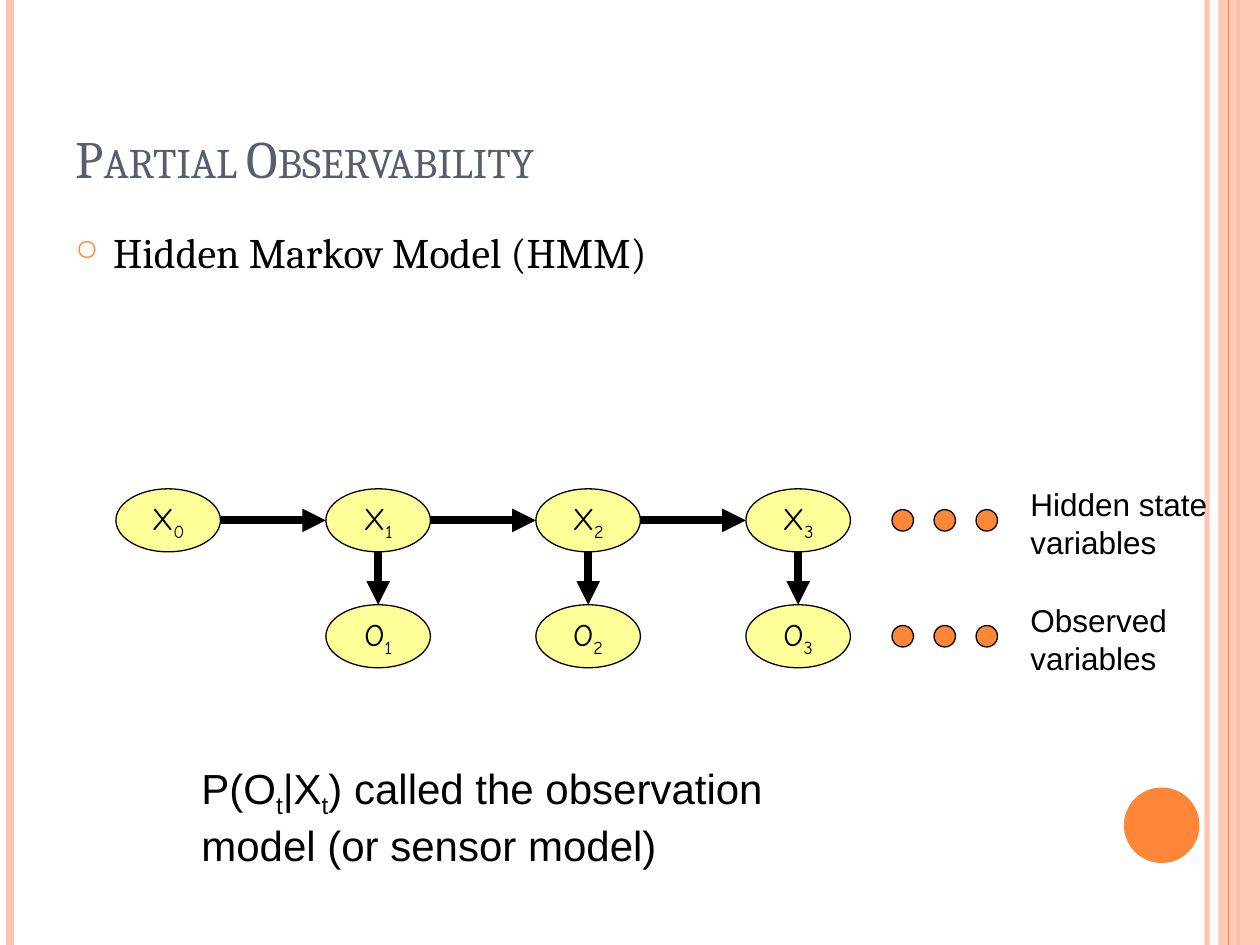
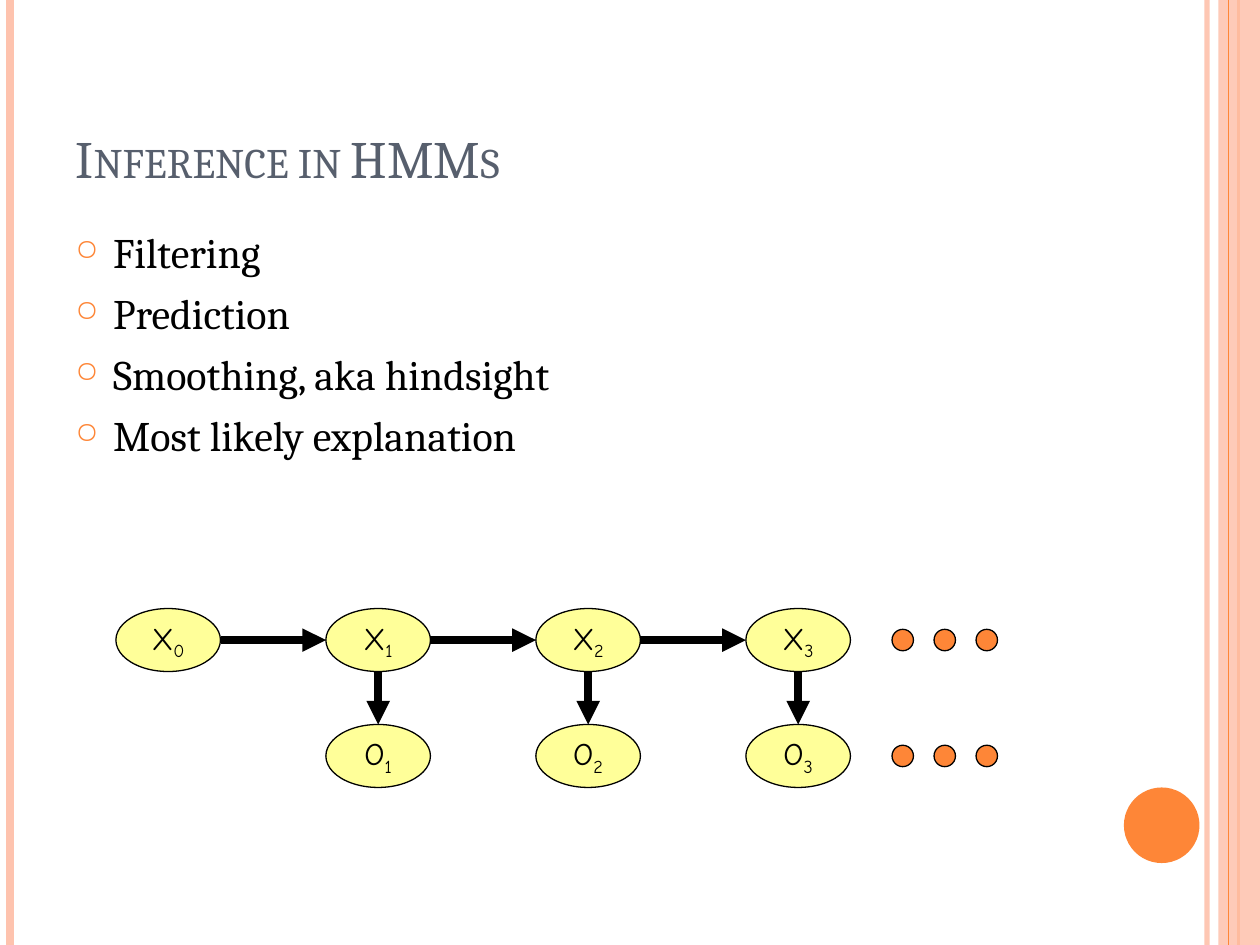
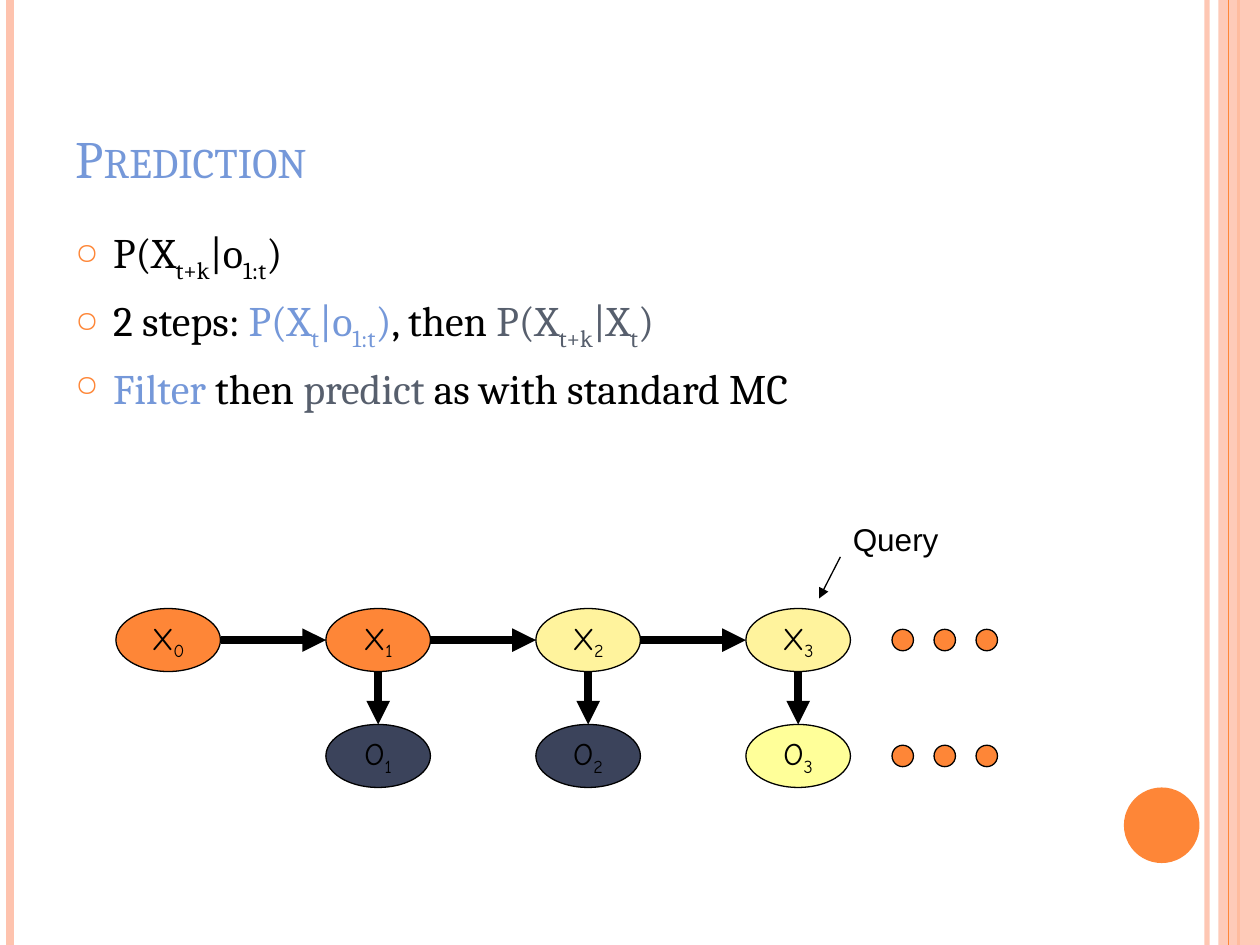
"""Build three slides on hidden Markov models: structure, inference and prediction."""
from lxml.etree import SubElement
from pptx import Presentation
from pptx.dml.color import RGBColor
from pptx.enum.shapes import MSO_CONNECTOR as Connector, MSO_SHAPE as Shape
from pptx.enum.text import MSO_ANCHOR as Anchor, MSO_AUTO_SIZE as AutoSize, PP_ALIGN as Align
from pptx.oxml.ns import qn
from pptx.util import Inches, Pt

BLACK = RGBColor(0x00, 0x00, 0x00)
ORANGE = RGBColor(0xFE, 0x86, 0x37)
PEACH = RGBColor(0xFE, 0xC3, 0xAE)
SLATE = RGBColor(0x57, 0x5F, 0x6D)
BLUE = RGBColor(0x75, 0x98, 0xD9)
YELLOW = RGBColor(0xFF, 0xFF, 0x99)
CREAM = RGBColor(0xFF, 0xF3, 0x9D)
NAVY = RGBColor(0x3B, 0x43, 0x5B)

SERIF, SANS, COMIC = "Cambria", "Arial", "Comic Neue"

NODE_LEFT, NODE_WIDTH, NODE_HEIGHT = 0.92, 0.83, 0.5
COLUMN_STEP, ROW_STEP = 5 / 3, 0.92
DOT_LEFT, DOT_SIZE, DOT_STEP = 7.08, 0.17, 1 / 3


def write_text(para, text, *, font=SANS, size=18, color=BLACK, small_caps=False):
    """Add text to a paragraph, lowering the parts written between angle brackets."""
    for index, part in enumerate(text.replace(">", "<").split("<")):
        if not part:
            continue
        span = para.add_run()
        span.text = part
        span.font.name = font
        span.font.size = Pt(size)
        span.font.color.rgb = color
        properties = span.font._element
        if index % 2:
            properties.set("baseline", "-25000")
        if small_caps:
            properties.set("cap", "small")


def set_opacity(element, percent):
    """Give the first colour inside an element an opacity."""
    color = next(element.iter(qn("a:srgbClr")))
    SubElement(color, qn("a:alpha")).set("val", str(percent * 1000))


class SlideBuilder:
    """Hold the deck, its shared style and the slide being drawn."""

    def __init__(self):
        """Open an empty deck of 10 by 7.5 inches."""
        self.deck = Presentation()
        self.deck.slide_width, self.deck.slide_height = Inches(10), Inches(7.5)
        self.page = None

    def start_page(self, title, color=SLATE):
        """Add a slide with the shared bands and a title."""
        self.page = self.deck.slides.add_slide(self.deck.slide_layouts[5])
        self.frame()
        box = self.page.shapes.title
        box.left, box.top = Inches(0.5), Inches(0.3)
        box.width, box.height = Inches(8.17), Inches(1.25)
        box.text_frame.auto_size = AutoSize.NONE
        box.text_frame.vertical_anchor = Anchor.BOTTOM
        para = box.text_frame.paragraphs[0]
        para.alignment = Align.LEFT
        write_text(para, title, font=SERIF, size=30, color=color, small_caps=True)

    def frame(self):
        """Draw the side bands and the round badge."""
        edge = self.line((9.58, 0), (9.58, 7.5), color=PEACH, width=3)
        set_opacity(edge.element, 93)
        self.line((0.08, 0), (0.08, 7.5), color=PEACH, width=4.5)
        self.line((9.83, 0), (9.83, 7.5), color=ORANGE, width=1.5)
        band = self.shape(Shape.RECTANGLE, 9.67, 0, 0.33, 7.5, PEACH)
        set_opacity(band.element, 87)
        self.line((9.75, 0), (9.75, 7.5), color=ORANGE)
        self.shape(Shape.OVAL, 8.92, 6.25, 0.6, 0.6, ORANGE)

    def line(self, start, end, *, color=BLACK, width=0.75, arrow=False):
        """Draw a straight line, with an arrowhead at its end on request."""
        points = [Inches(value) for value in (*start, *end)]
        line = self.page.shapes.add_connector(Connector.STRAIGHT, *points)
        line.line.color.rgb = color
        line.line.width = Pt(width)
        properties = line.element.spPr
        if arrow:
            SubElement(properties.find(qn("a:ln")), qn("a:tailEnd")).set("type", "triangle")
        SubElement(properties, qn("a:effectLst"))
        return line

    def shape(self, kind, left, top, width, height, fill, outline=None):
        """Draw a flat preset shape."""
        shape = self.page.shapes.add_shape(
            kind, Inches(left), Inches(top), Inches(width), Inches(height))
        shape.shadow.inherit = False
        shape.fill.solid()
        shape.fill.fore_color.rgb = fill
        if outline is None:
            shape.line.fill.background()
        else:
            shape.line.color.rgb = outline
            shape.line.width = Pt(0.75)
        return shape

    def node(self, left, top, label, fill):
        """Draw one labelled variable."""
        node = self.shape(Shape.OVAL, left, top, NODE_WIDTH, NODE_HEIGHT, fill, BLACK)
        node.text_frame.word_wrap = False
        node.text_frame.vertical_anchor = Anchor.MIDDLE
        para = node.text_frame.paragraphs[0]
        para.alignment = Align.CENTER
        write_text(para, label, font=COMIC)

    def text_box(self, left, top, width, height):
        """Add a wrapping text box and return its text frame."""
        box = self.page.shapes.add_textbox(
            Inches(left), Inches(top), Inches(width), Inches(height))
        box.text_frame.word_wrap = True
        return box.text_frame

    def note(self, left, top, width, height, text, size=18):
        """Add a plain text note."""
        frame = self.text_box(left, top, width, height)
        write_text(frame.paragraphs[0], text, size=size)

    def bullets(self, items):
        """Add the bulleted body; each item is a list of text and colour pairs."""
        frame = self.text_box(0.5, 1.75, 8.17, 5.33)
        for index, item in enumerate(items):
            para = frame.add_paragraph() if index else frame.paragraphs[0]
            para.space_before = Pt(6)
            properties = para._p.get_or_add_pPr()
            properties.set("marL", str(Inches(0.3)))
            properties.set("indent", str(Inches(-0.3)))
            color = SubElement(properties, qn("a:buClr"))
            SubElement(color, qn("a:srgbClr")).set("val", str(ORANGE))
            SubElement(properties, qn("a:buSzPct")).set("val", "70000")
            SubElement(properties, qn("a:buChar")).set("char", "○")
            for text, text_color in item:
                write_text(para, text, font=SERIF, size=24, color=text_color)

    def markov_model(self, top, hidden=(YELLOW,) * 4, observed=(YELLOW,) * 3):
        """Draw hidden states in a row above the variables observed from them."""
        middle, lower = top + NODE_HEIGHT / 2, top + ROW_STEP
        for index, fill in enumerate(hidden):
            left = NODE_LEFT + index * COLUMN_STEP
            self.node(left, top, f"X<{index}>", fill)
            if index:
                previous = left - COLUMN_STEP + NODE_WIDTH
                self.line((previous, middle), (left, middle), width=4.5, arrow=True)
                center = left + NODE_WIDTH / 2
                self.line((center, top + NODE_HEIGHT), (center, lower), width=4.5, arrow=True)
                self.node(left, lower, f"O<{index}>", observed[index - 1])
        for row_middle in (middle, middle + ROW_STEP):
            for index in range(3):
                self.shape(Shape.OVAL, DOT_LEFT + index * DOT_STEP, row_middle - DOT_SIZE / 2,
                           DOT_SIZE, DOT_SIZE, ORANGE, BLACK)


def main():
    """Build and save the deck."""
    builder = SlideBuilder()

    builder.start_page("Partial Observability")
    builder.bullets([[("Hidden Markov Model (HMM)", BLACK)]])
    builder.markov_model(3.88)
    builder.note(8.08, 3.8, 1.75, 0.7, "Hidden state variables")
    builder.note(8.08, 4.72, 1.75, 0.7, "Observed variables")
    builder.note(1.5, 6, 5.17, 0.9,
                 "P(O<t>|X<t>) called the observation model (or sensor model)", size=24)

    builder.start_page("Inference in HMMs")
    tasks = ("Filtering", "Prediction", "Smoothing, aka hindsight", "Most likely explanation")
    builder.bullets([[(task, BLACK)] for task in tasks])
    builder.markov_model(4.83)

    builder.start_page("Prediction", color=BLUE)
    builder.bullets([
        [("P(X<t+k>|o<1:t>)", BLACK)],
        [("2 steps: ", BLACK), ("P(X<t>|o<1:t>)", BLUE), (", then ", BLACK),
         ("P(X<t+k>|X<t>)", SLATE)],
        [("Filter", BLUE), (" then ", BLACK), ("predict ", SLATE),
         ("as with standard MC", BLACK)],
    ])
    builder.markov_model(4.83, hidden=(ORANGE, ORANGE, CREAM, CREAM),
                         observed=(NAVY, NAVY, YELLOW))
    builder.line((6.67, 4.42), (6.5, 4.75), arrow=True)
    builder.note(6.67, 4.08, 1, 0.4, "Query")

    builder.deck.save("out.pptx")


main()
